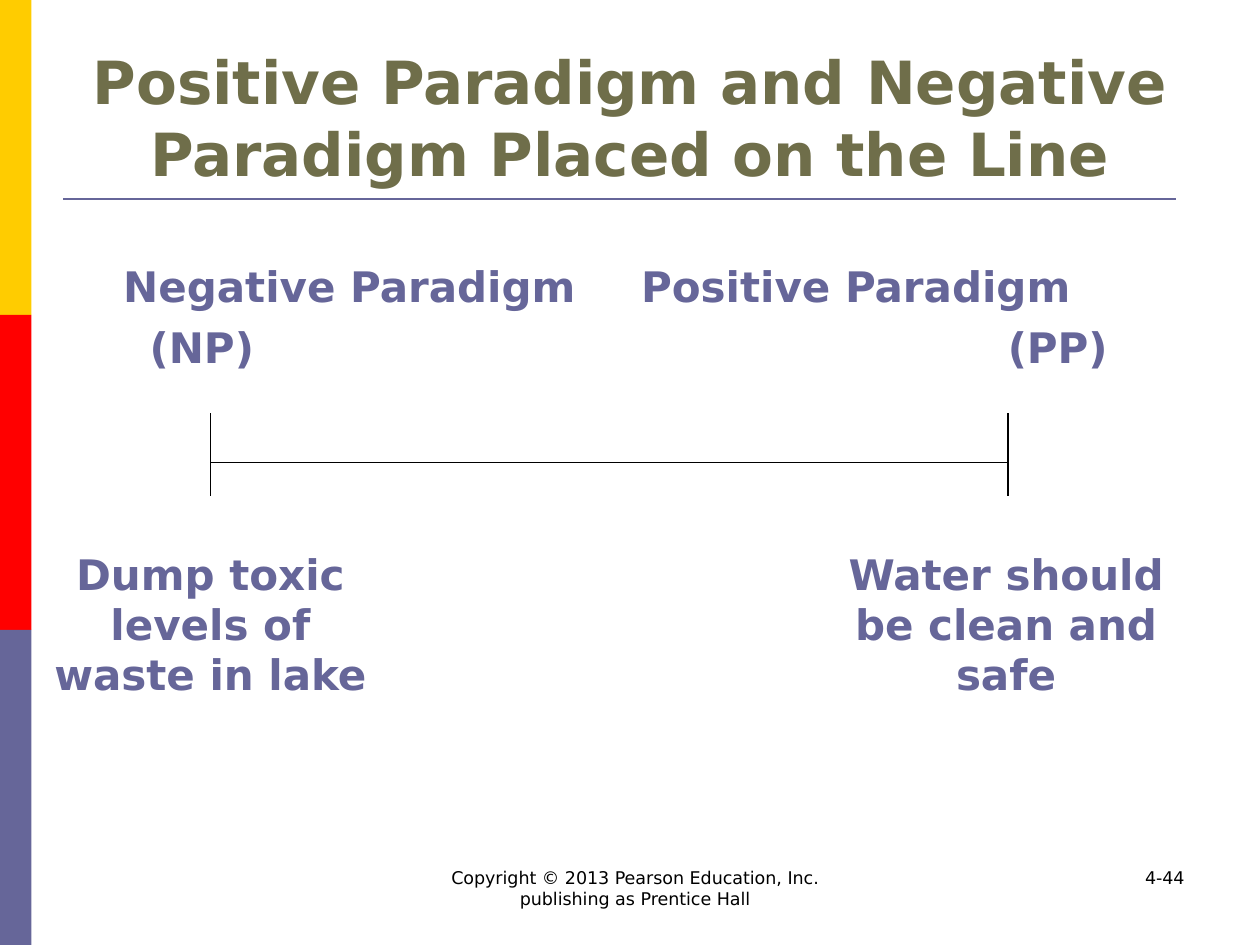
from lxml.etree import SubElement as Sub
from pptx import Presentation
from pptx.dml.color import RGBColor as Rgb
from pptx.enum.shapes import MSO_CONNECTOR as Conn, MSO_SHAPE as Shape
from pptx.enum.text import MSO_ANCHOR as Anchor, PP_ALIGN as Align
from pptx.oxml.ns import qn
from pptx.util import Inches, Pt

HUES = {"gold": "FFCC00", "red": "FF0000", "slate": "666699",
        "olive": "6F6E4A", "black": "000000"}
FACE = "DejaVu Sans"
HEAD = {"size": Pt(34), "bold": True}
BODY = {"size": Pt(24), "bold": True}
NOTE = {"size": Pt(10), "bold": False}


def add_bar(slide, top, hue):
    bar = slide.shapes.add_shape(Shape.RECTANGLE, 0, Inches(top),
                                 Inches(0.25), Inches(2.5))
    bar.shadow.inherit = False
    bar.fill.solid()
    bar.fill.fore_color.rgb = Rgb.from_string(HUES[hue])
    bar.line.fill.background()


def add_line(slide, start, end, hue="black", width=0.75):
    ends = [Inches(n) for n in (*start, *end)]
    line = slide.shapes.add_connector(Conn.STRAIGHT, *ends)
    line.line.color.rgb = Rgb.from_string(HUES[hue])
    line.line.width = Pt(width)
    Sub(line._element.spPr, qn("a:effectLst"))


def set_tabs(para, stops):
    tabs = Sub(para._p.get_or_add_pPr(), qn("a:tabLst"))
    for stop in stops:
        Sub(tabs, qn("a:tab"), pos=str(Inches(stop)), algn="l")


def add_text(slide, box, rows, look, hue, align=Align.CENTER,
             anchor=Anchor.TOP, gap=0, tabs=()):
    frame = slide.shapes.add_textbox(*[Inches(n) for n in box]).text_frame
    frame.word_wrap = True
    frame.vertical_anchor = anchor
    for i, row in enumerate(rows):
        para = frame.add_paragraph() if i else frame.paragraphs[0]
        para.alignment = align
        if i:
            para.space_before = Pt(gap)
        if tabs:
            set_tabs(para, tabs[i])
        run = para.add_run()
        run.text = row
        run.font.name = FACE
        run.font.color.rgb = Rgb.from_string(HUES[hue])
        for key, value in look.items():
            setattr(run.font, key, value)


def main():
    deck = Presentation()
    deck.slide_width, deck.slide_height = Inches(10), Inches(7.5)
    slide = deck.slides.add_slide(deck.slide_layouts[6])

    # Side stripe and title rule
    for i, hue in enumerate(("gold", "red", "slate")):
        add_bar(slide, i * 2.5, hue)
    add_line(slide, (0.5, 1.58), (9.33, 1.58), "slate", 1.5)

    # Title
    add_text(slide, (0.5, 0.3, 9, 1.25),
             ["Positive Paradigm and Negative Paradigm Placed on the Line"],
             HEAD, "olive", anchor=Anchor.MIDDLE)

    # Names of the two ends, set out with tab stops
    add_text(slide, (0.5, 2.02, 9, 4.69),
             ["\tNegative Paradigm\tPositive Paradigm", "\t(NP)\t(PP)"],
             BODY, "slate", Align.LEFT, gap=5.8,
             tabs=((0.38, 4.49), (0.59, 7.4)))

    # Scale with an end mark on each side
    left, right, mid = 1.67, 8, 3.67
    add_line(slide, (left, mid), (right, mid))
    for x in (left, right):
        add_line(slide, (x, 3.28), (x, 3.94))

    # Footer
    add_text(slide, (7.17, 6.83, 2.33, 0.5), ["4-44"], NOTE, "black",
             Align.RIGHT)
    add_text(slide, (3.33, 6.83, 3.42, 0.5),
             ["Copyright © 2013 Pearson Education, Inc. "
              "publishing as Prentice Hall"], NOTE, "black")

    # Example at each end
    for x, width, text in (
            (0.31, 2.72, "Dump toxic levels of waste in lake"),
            (6.57, 2.83, "Water should be clean and safe")):
        add_text(slide, (x, 4.3, width, 1.31), [text], BODY, "slate")

    deck.save("out.pptx")


if __name__ == "__main__":
    main()
